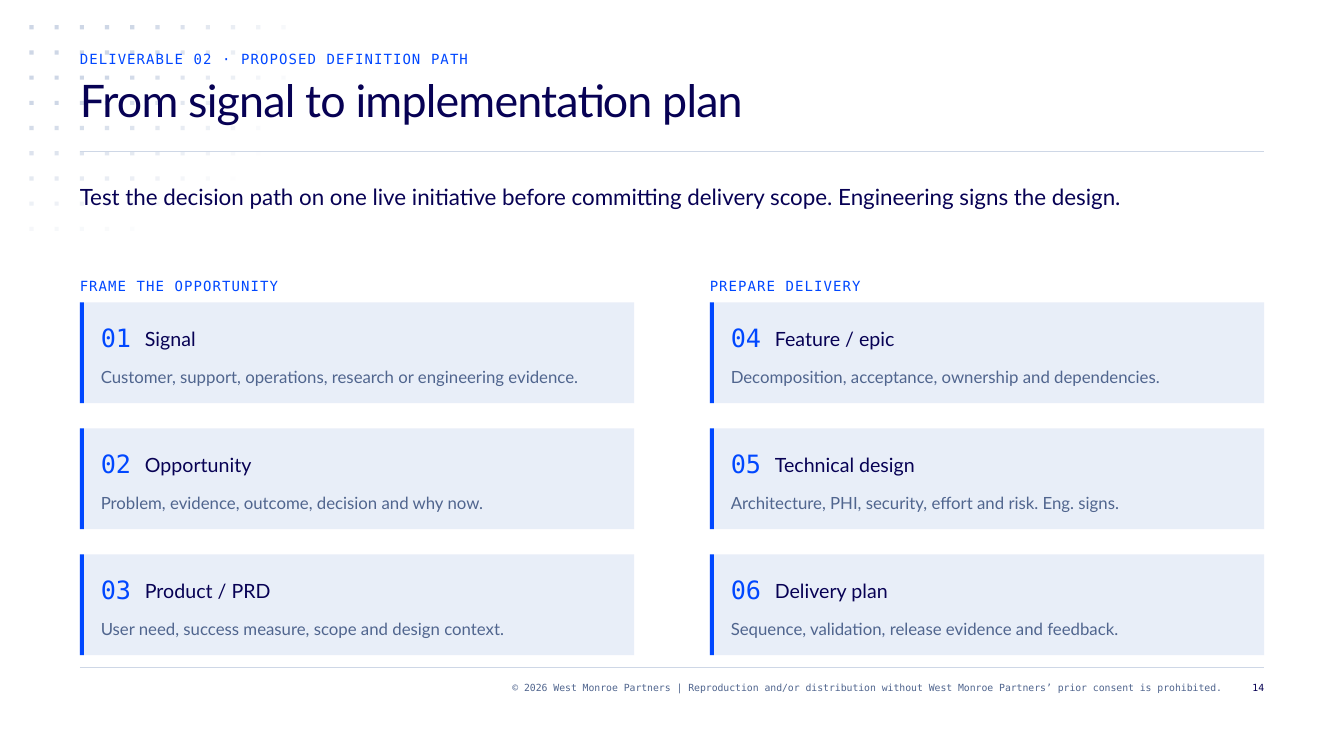
"""Build the slide on the path from signal to implementation plan."""
from itertools import product
from math import hypot

from lxml.etree import SubElement
from pptx import Presentation
from pptx.dml.color import RGBColor
from pptx.enum.shapes import MSO_CONNECTOR, MSO_SHAPE
from pptx.enum.text import MSO_ANCHOR, MSO_AUTO_SIZE, PP_ALIGN
from pptx.oxml.ns import qn
from pptx.util import Pt

KICKER = "DELIVERABLE 02 · PROPOSED DEFINITION PATH"
TITLE = "From signal to implementation plan"
LEAD = ("Test the decision path on one live initiative before committing "
        "delivery scope. Engineering signs the design.")
STAGES = [
    ("FRAME THE OPPORTUNITY", [
        ("01", "Signal", "Customer, support, operations, research or engineering evidence."),
        ("02", "Opportunity", "Problem, evidence, outcome, decision and why now."),
        ("03", "Product / PRD", "User need, success measure, scope and design context."),
    ]),
    ("PREPARE DELIVERY", [
        ("04", "Feature / epic", "Decomposition, acceptance, ownership and dependencies."),
        ("05", "Technical design", "Architecture, PHI, security, effort and risk. Eng. signs."),
        ("06", "Delivery plan", "Sequence, validation, release evidence and feedback."),
    ]),
]
COPYRIGHT = ("© 2026 West Monroe Partners | Reproduction and/or distribution without "
             "West Monroe Partners’ prior consent is prohibited.")
PAGE = "14"

SANS, MONO = "Lato", "DejaVu Sans Mono"
NAVY, BLUE, SLATE, MIST, PALE = "070154", "0047FF", "50658E", "CED7E6", "E8EEF8"
LEFT, WIDTH = 57, 846
COL_W, COL_STEP = 396, 450
CARD_TOP, CARD_H, CARD_STEP = 216, 72, 90
DOT_COLS, DOT_ROWS, DOT_STEP, DOT = 11, 9, 18, 3
FADE_X, FADE_Y, FADE_GAIN = 11.07, 9.07, 152.5


def rgb(color):
    return RGBColor.from_string(color)


def write(sp, text, size, line, font=SANS, color=NAVY, align=PP_ALIGN.LEFT, spacing=0):
    tf = sp.text_frame
    tf.word_wrap = True
    tf.auto_size = MSO_AUTO_SIZE.NONE
    tf.vertical_anchor = MSO_ANCHOR.TOP
    tf.margin_left = tf.margin_top = tf.margin_right = tf.margin_bottom = 0
    p = tf.paragraphs[0]
    p.alignment = align
    p.line_spacing = Pt(line)
    r = p.add_run()
    r.text = text
    r.font.size = Pt(size)
    r.font.name = font
    r.font.color.rgb = rgb(color)
    if spacing:
        r.font._element.set("spc", str(round(spacing * 100)))


def add_text(shapes, text, x, y, w, h, **style):
    write(shapes.add_textbox(Pt(x), Pt(y), Pt(w), Pt(h)), text, **style)


def add_rect(shapes, x, y, w, h, color, alpha=100):
    sp = shapes.add_shape(MSO_SHAPE.RECTANGLE, Pt(x), Pt(y), Pt(w), Pt(h))
    sp.shadow.inherit = False
    sp.fill.solid()
    sp.fill.fore_color.rgb = rgb(color)
    sp.line.fill.background()
    if alpha < 100:
        clr = sp.element.spPr.find(".//" + qn("a:srgbClr"))
        SubElement(clr, qn("a:alpha"), val=str(alpha * 1000))


def add_rule(shapes, y):
    line = shapes.add_connector(MSO_CONNECTOR.STRAIGHT, Pt(LEFT), Pt(y), Pt(LEFT + WIDTH), Pt(y))
    line.line.color.rgb = rgb(MIST)
    line.line.width = Pt(0.75)
    SubElement(line.element.spPr, qn("a:effectLst"))


def add_dots(shapes):
    for col, row in product(range(DOT_COLS), range(DOT_ROWS)):
        alpha = round(FADE_GAIN * (1 - hypot(col / FADE_X, row / FADE_Y)))
        if alpha >= 2:
            add_rect(shapes, 21 + col * DOT_STEP, 18 + row * DOT_STEP, DOT, DOT, MIST, alpha)


def add_card(shapes, x, y, number, name, detail):
    card = shapes.add_group_shape().shapes
    add_rect(card, x, y, COL_W, CARD_H, PALE)
    add_rect(card, x, y, 3, CARD_H, BLUE)
    add_text(card, number, x + 15, y + 12, 22.5, 24, size=18, line=24, font=MONO, color=BLUE)
    add_text(card, name, x + 46.5, y + 13.5, 337.5, 21, size=14, line=21)
    add_text(card, detail, x + 15, y + 42, 369, 18, size=12, line=18, color=SLATE)


def main():
    prs = Presentation()
    prs.slide_width, prs.slide_height = Pt(960), Pt(540)
    s = prs.slides.add_slide(prs.slide_layouts[5])
    shapes = s.shapes
    label = dict(size=10, line=12, font=MONO, color=BLUE, spacing=0.8)
    footer = dict(size=7, line=9, font=MONO, align=PP_ALIGN.RIGHT)

    add_dots(shapes)
    add_rule(shapes, 108.5)
    add_rule(shapes, 477)
    add_text(shapes, KICKER, LEFT, 36, WIDTH, 12, **label)

    title = shapes.title
    title.left, title.top, title.width, title.height = Pt(LEFT), Pt(54), Pt(WIDTH), Pt(54)
    write(title, TITLE, size=32, line=36, spacing=-0.6)
    title.element.getparent().append(title.element)

    add_text(shapes, LEAD, LEFT, 126, WIDTH, 24, size=16, line=24)
    for col, (heading, steps) in enumerate(STAGES):
        x = LEFT + col * COL_STEP
        add_text(shapes, heading, x, 198, COL_W, 12, **label)
        for row, step in enumerate(steps):
            add_card(shapes, x, CARD_TOP + row * CARD_STEP, *step)

    add_text(shapes, COPYRIGHT, 171, 486, 702, 18, color=SLATE, **footer)
    add_text(shapes, PAGE, 879, 486, 24, 18, **footer)
    prs.save("out.pptx")


if __name__ == "__main__":
    main()
